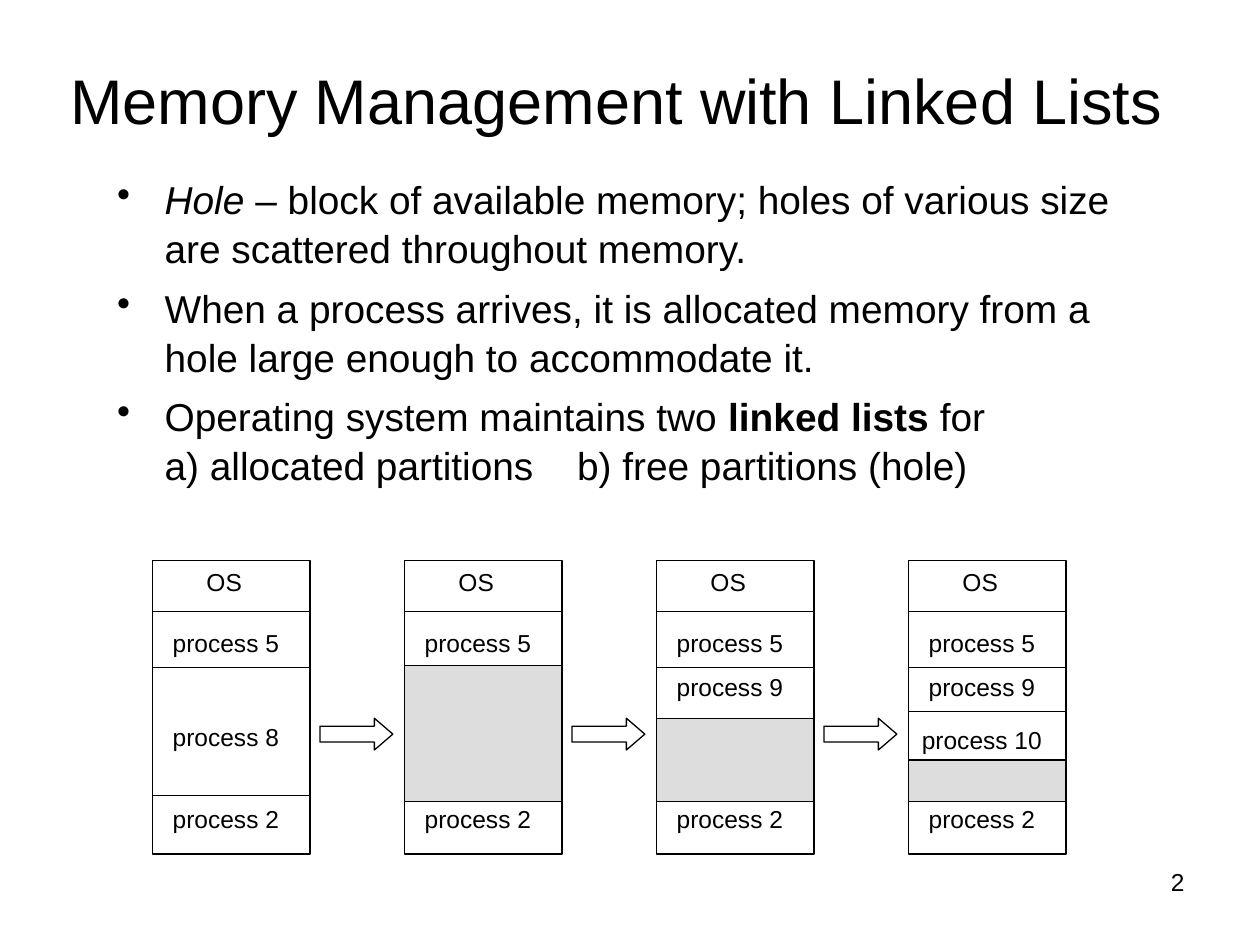
"""Slide on memory management with linked lists of partitions."""
import pptx
import pptx.dml.color
import pptx.enum.shapes
import pptx.enum.text
import pptx.oxml
import pptx.oxml.ns
import pptx.util

Cm = pptx.util.Cm
Pt = pptx.util.Pt
SHAPE = pptx.enum.shapes.MSO_SHAPE
ALIGN = pptx.enum.text.PP_ALIGN
ANCHOR = pptx.enum.text.MSO_ANCHOR
BLACK = pptx.dml.color.RGBColor(0x00, 0x00, 0x00)
WHITE = pptx.dml.color.RGBColor(0xFF, 0xFF, 0xFF)
GRAY = pptx.dml.color.RGBColor(0xDD, 0xDD, 0xDD)

prs = pptx.Presentation()
prs.slide_width, prs.slide_height = Cm(25.4), Cm(19.05)
s = prs.slides.add_slide(prs.slide_layouts[6])


def add_text(x, y, w, h, text, size, align, anchor=ANCHOR.MIDDLE, wrap=True):
    tf = s.shapes.add_textbox(Cm(x), Cm(y), Cm(w), Cm(h)).text_frame
    tf.word_wrap = wrap
    tf.vertical_anchor = anchor
    p = tf.paragraphs[0]
    p.alignment = align
    r = p.add_run()
    r.text = text
    r.font.name, r.font.size = "Arial", Pt(size)
    r.font.color.rgb = BLACK


def add_block(kind, x, y, w, h, fill):
    sp = s.shapes.add_shape(kind, Cm(x), Cm(y), Cm(w), Cm(h))
    sp.shadow.inherit = False
    sp.fill.solid()
    sp.fill.fore_color.rgb = fill
    sp.line.color.rgb = BLACK
    sp.line.width = Pt(0.75)
    return sp


add_text(18.21, 17.35, 5.92, 1.32, "2", 14, ALIGN.RIGHT, ANCHOR.TOP)
add_text(0.64, 0.84, 23.57, 2.34, "Memory Management with Linked Lists", 36, ALIGN.CENTER)

bullets = [
    [("Hole", "i"), (" – block of available memory; holes of various size are scattered throughout memory.", "")],
    [("When a process arrives, it is allocated memory from a hole large enough to accommodate it.", "")],
    [("Operating system maintains two ", ""), ("linked lists", "b"), (" for ", ""), ("", "break"),
     ("a) allocated partitions", ""), (" ", "gap"), ("b) free partitions (hole)", "")],
]
tf = s.shapes.add_textbox(Cm(2.11), Cm(3.38), Cm(21.21), Cm(6.63)).text_frame
tf.word_wrap = True
for i, runs in enumerate(bullets):
    p = tf.add_paragraph() if i else tf.paragraphs[0]
    pPr = p._p.get_or_add_pPr()
    pPr.set("marL", str(Cm(0.96)))
    pPr.set("indent", str(-Cm(0.96)))
    bu = pptx.oxml.parse_xml(f'<a:buChar {pptx.oxml.ns.nsdecls("a")} char="•"/>')
    pPr.append(bu)
    p.line_spacing = 1.05
    if i:
        p.space_before = Pt(6)
    for text, style in runs:
        if style == "break":
            p.add_line_break()
            continue
        r = p.add_run()
        r.text = text
        r.font.name, r.font.size = "Arial", Pt(22.2)
        r.font.color.rgb = BLACK
        r.font.italic = style == "i"
        r.font.bold = style == "b"
        if style == "gap":
            r.font._element.set("spc", "1850")

LEFT, PITCH, WIDTH = 3.07, 5.08, 3.18
TOP, HEIGHT, HOLE_END = 11.3, 5.92, 16.16
stages = [
    ([12.32, 13.46, 16.03], None, [("process 8", 14.43)]),
    ([12.32], 13.41, []),
    ([12.32, 13.46], 14.48, [("process 9", 13.41)]),
    ([12.32, 13.46, 14.35], 15.32, [("process 9", 13.41), ("process 10", 14.48)]),
]
for i, (dividers, hole, processes) in enumerate(stages):
    x = LEFT + i * PITCH
    add_block(SHAPE.RECTANGLE, x, TOP, WIDTH, HEIGHT, WHITE)
    for y in dividers:
        c = s.shapes.add_connector(
            pptx.enum.shapes.MSO_CONNECTOR.STRAIGHT, Cm(x), Cm(y), Cm(x + WIDTH), Cm(y))
        c.line.color.rgb = BLACK
        c.line.width = Pt(0.75)
        c._element.spPr.append(
            pptx.oxml.parse_xml(f'<a:effectLst {pptx.oxml.ns.nsdecls("a")}/>'))
    if hole:
        add_block(SHAPE.RECTANGLE, x, hole, WIDTH, HOLE_END - hole, GRAY)
    add_text(x + 0.84, TOP, 1.22, 0.86, "OS", 14, ALIGN.CENTER, wrap=False)
    for text, y in [("process 5", 12.52), *processes, ("process 2", 16.08)]:
        add_text(x, y, 2.97, 0.86, text, 14, ALIGN.CENTER)
    if i:
        sp = add_block(SHAPE.RIGHT_ARROW, x - 1.7, 14.48, 1.47, 0.64, WHITE)
        sp.adjustments[0], sp.adjustments[1] = 0.5, 0.58

prs.save("out.pptx")
